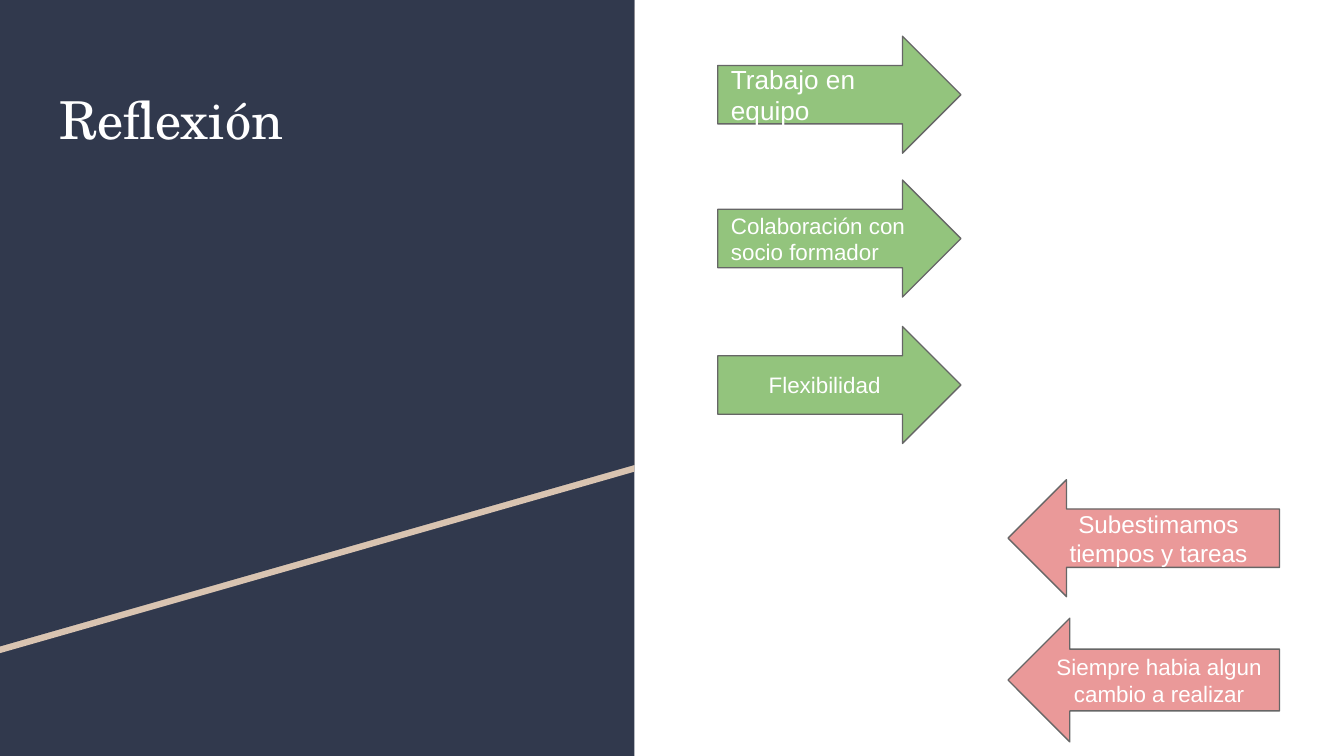
from pptx import Presentation
from pptx.dml.color import RGBColor
from pptx.enum.shapes import MSO_SHAPE
from pptx.enum.text import MSO_ANCHOR, MSO_AUTO_SIZE, PP_ALIGN
from pptx.util import Inches, Pt

COLORS = {
    "navy": "31394D",
    "sand": "D9C4B1",
    "green": "93C47D",
    "red": "EA9999",
    "outline": "666666",
    "white": "FFFFFF",
}
PANEL_WIDTH = 4.72


def rgb(name):
    return RGBColor.from_string(COLORS[name])


def format_text(tf, text, font, size, align, anchor):
    tf.text = text
    tf.word_wrap = True
    tf.auto_size = MSO_AUTO_SIZE.NONE
    tf.vertical_anchor = anchor
    tf.margin_left = tf.margin_right = Inches(0.1)
    tf.margin_top = tf.margin_bottom = Inches(0.1)
    p = tf.paragraphs[0]
    p.alignment = align
    r = p.runs[0]
    r.font.name = font
    r.font.size = Pt(size)
    r.font.color.rgb = rgb("white")


prs = Presentation()
prs.slide_width = Inches(10)
prs.slide_height = prs.slide_width * 9 // 16
s = prs.slides.add_slide(prs.slide_layouts[5])
s.background.fill.solid()
s.background.fill.fore_color.rgb = rgb("white")

# Left panel: navy base, sand layer, and a navy layer that leaves a slanted stripe
base = s.shapes.add_shape(MSO_SHAPE.RECTANGLE, 0, 0, Inches(PANEL_WIDTH), prs.slide_height)
panel = [(base, "navy")]
for color, top, right_end, left_end in [("sand", 0.05, 3.51, 4.86), ("navy", 0, 3.46, 4.81)]:
    builder = s.shapes.build_freeform(0, Inches(top))
    corners = [(PANEL_WIDTH, top), (PANEL_WIDTH, right_end), (0, left_end)]
    builder.add_line_segments([(Inches(x), Inches(y)) for x, y in corners], close=True)
    panel.append((builder.convert_to_shape(), color))
for sp, color in panel:
    sp.shadow.inherit = False
    sp.fill.solid()
    sp.fill.fore_color.rgb = rgb(color)
    sp.line.fill.background()

# Title, brought in front of the panel
title = s.shapes.title
title.left, title.top = Inches(0.34), Inches(0.55)
title.width, title.height = Inches(4.05), Inches(2.74)
format_text(title.text_frame, "Reflexión", "TeX Gyre Schola", 28, PP_ALIGN.LEFT, MSO_ANCHOR.TOP)
title.element.getparent().append(title.element)

# Strengths point right, difficulties point left
right = (MSO_SHAPE.RIGHT_ARROW, "green", 5.34, 1.81)
left = (MSO_SHAPE.LEFT_ARROW, "red", 7.5, 2.02)
arrows = [
    (right, 0.27, 0.87, "Trabajo en equipo", 14, PP_ALIGN.LEFT),
    (right, 1.34, 0.87, "Colaboración con socio formador", 12, PP_ALIGN.LEFT),
    (right, 2.43, 0.87, "Flexibilidad", 12, PP_ALIGN.CENTER),
    (left, 3.57, 0.87, "Subestimamos tiempos y tareas", 13, PP_ALIGN.CENTER),
    (left, 4.6, 0.92, "Siempre habia algun cambio a realizar", 12, PP_ALIGN.CENTER),
]
for (kind, color, x, width), y, height, text, size, align in arrows:
    sp = s.shapes.add_shape(kind, Inches(x), Inches(y), Inches(width), Inches(height))
    sp.shadow.inherit = False
    sp.fill.solid()
    sp.fill.fore_color.rgb = rgb(color)
    sp.line.color.rgb = rgb("outline")
    sp.line.width = Pt(0.75)
    format_text(sp.text_frame, text, "Arial", size, align, MSO_ANCHOR.MIDDLE)

prs.save("out.pptx")
